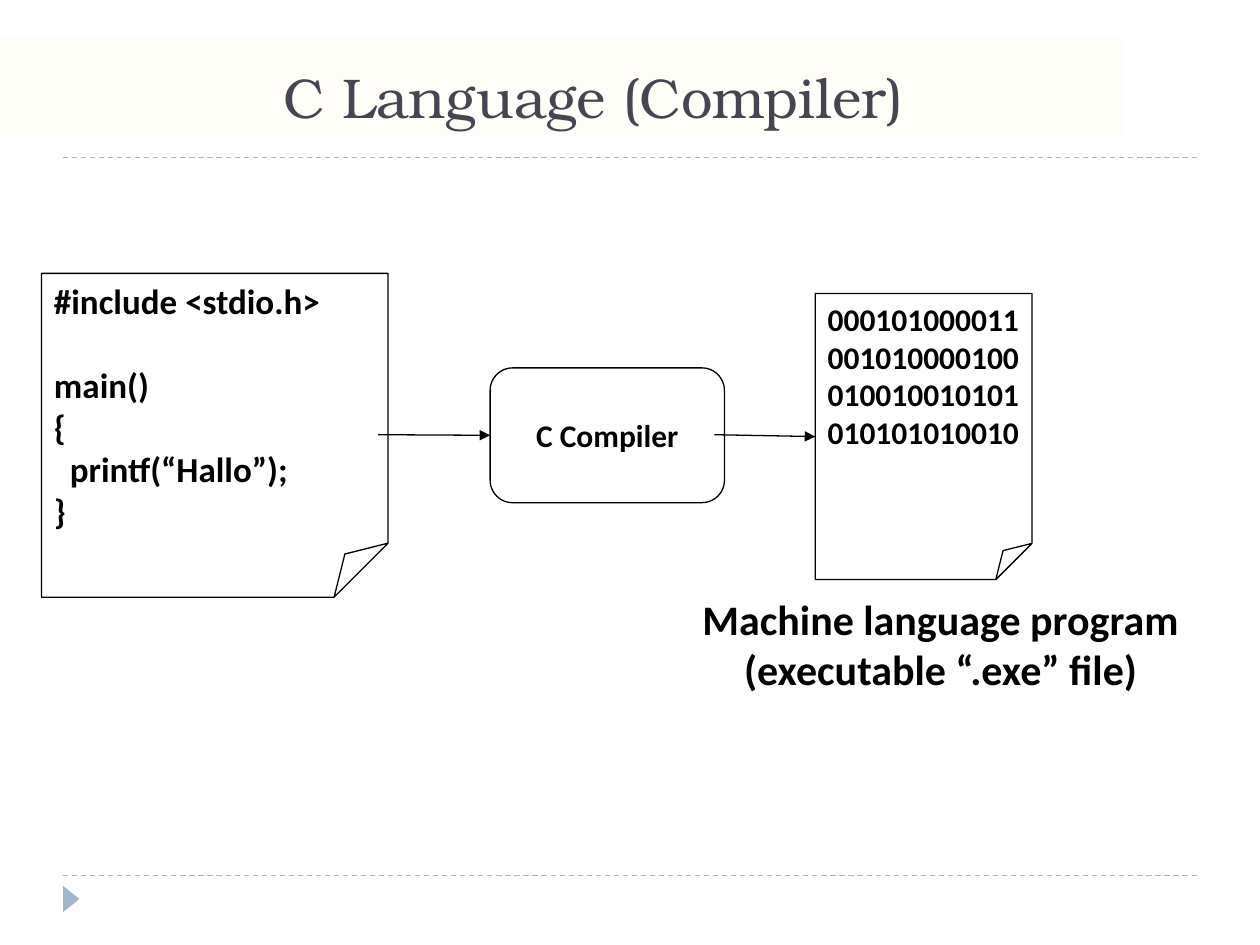
from dataclasses import dataclass

from lxml import etree
from pptx import Presentation
from pptx import util as u
from pptx.dml.color import RGBColor
from pptx.enum import dml, shapes, text
from pptx.oxml.ns import qn

COLUMNS, ROWS = 100, 75  # grid cells across a 10 by 7.5 inch slide
CELL = u.Inches(0.1)


@dataclass(frozen=True)
class Theme:
    ink: RGBColor = RGBColor(0x00, 0x00, 0x00)
    accent: RGBColor = RGBColor(0x9F, 0xB8, 0xCD)
    title: RGBColor = RGBColor(0x46, 0x46, 0x53)
    band: RGBColor = RGBColor(0xFE, 0xF8, 0xE4)
    band_alpha: int = 25000
    title_font: str = "TeX Gyre Bonum"
    body_font: str = "Calibri"
    title_size: int = 32
    caption_size: int = 24
    code_size: int = 20
    label_size: int = 18
    line_width: float = 0.75


@dataclass(frozen=True)
class Area:
    """A rectangle in grid columns and rows."""
    column: float
    row: float
    columns: float
    rows: float

    def lengths(self) -> list[int]:
        return [round(CELL * n) for n in (self.column, self.row, self.columns, self.rows)]


@dataclass(frozen=True)
class Block:
    kind: shapes.MSO_SHAPE
    area: Area
    lines: tuple[str, ...]
    size: int
    centred: bool = False


THEME = Theme()
FOLDED, ROUNDED = shapes.MSO_SHAPE.FOLDED_CORNER, shapes.MSO_SHAPE.ROUNDED_RECTANGLE

SOURCE = Block(FOLDED, Area(3.3, 21.7, 27.5, 25.7),
               ("#include <stdio.h>", "main()", "{", "  printf(“Hallo”);", "}"),
               THEME.code_size)
COMPILER = Block(ROUNDED, Area(38.9, 29.2, 18.6, 10.7), ("C Compiler",),
                 THEME.label_size, centred=True)
BINARY = Block(FOLDED, Area(64.7, 23.3, 17.2, 22.7),
               ("000101000011001010000100010010010101010101010010",), THEME.label_size)
CAPTION = ("Machine language program", "(executable “.exe” file)")


def write(frame, lines: tuple[str, ...], size: int, centred: bool = False,
          font: str = THEME.body_font, color: RGBColor = THEME.ink, bold: bool = True) -> None:
    frame.text = "\n".join(lines)
    for para in frame.paragraphs:
        para.alignment = text.PP_ALIGN.CENTER if centred else text.PP_ALIGN.LEFT
        for span in para.runs:
            span.font.name, span.font.size = font, u.Pt(size)
            span.font.color.rgb, span.font.bold = color, bold


def add_block(page, block: Block):
    box = page.shapes.add_shape(block.kind, *block.area.lengths())
    box.shadow.inherit = False
    box.fill.background()
    box.line.color.rgb, box.line.width = THEME.ink, u.Pt(THEME.line_width)
    frame = box.text_frame
    frame.word_wrap = not block.centred
    frame.vertical_anchor = text.MSO_ANCHOR.MIDDLE if block.centred else text.MSO_ANCHOR.TOP
    write(frame, block.lines, block.size, block.centred)
    return box


def add_line(page, start: tuple[float, float], end: tuple[float, float], color: RGBColor):
    points = [round(CELL * n) for n in (*start, *end)]
    line = page.shapes.add_connector(shapes.MSO_CONNECTOR.STRAIGHT, *points)
    line.line.color.rgb, line.line.width = color, u.Pt(THEME.line_width)
    etree.SubElement(line._element.spPr, qn("a:effectLst"))
    return line


def add_rule(page, row: float) -> None:
    margin = 5
    rule = add_line(page, (margin, row), (COLUMNS - margin, row), THEME.accent)
    rule.line.dash_style = dml.MSO_LINE.DASH


def add_arrow(page, start: tuple[float, float], target) -> None:
    arrow = add_line(page, start, start, THEME.ink)
    arrow.end_connect(target, 1)
    etree.SubElement(arrow.line._get_or_add_ln(), qn("a:tailEnd"), type="triangle")


def add_title(page, title: str) -> None:
    box = page.shapes.title
    box.left, box.top, box.width, box.height = Area(0, 3, 89.2, 7.8).lengths()
    box.fill.solid()
    box.fill.fore_color.rgb = THEME.band
    color = box._element.spPr.find(".//" + qn("a:srgbClr"))
    etree.SubElement(color, qn("a:alpha"), val=str(THEME.band_alpha))
    frame = box.text_frame
    frame.auto_size = text.MSO_AUTO_SIZE.NONE
    frame.vertical_anchor = text.MSO_ANCHOR.BOTTOM
    write(frame, (title,), THEME.title_size, True, THEME.title_font, THEME.title, False)


def main() -> None:
    deck = Presentation()
    deck.slide_width, deck.slide_height = CELL * COLUMNS, CELL * ROWS
    page = deck.slides.add_slide(deck.slide_layouts[5])

    # Frame of the slide: rules, corner marker and title
    for row in (69.5, 12.5):
        add_rule(page, row)
    marker = page.shapes.add_shape(shapes.MSO_SHAPE.ISOSCELES_TRIANGLE,
                                   *Area(4.6, 70.7, 2.1, 1.3).lengths())
    marker.rotation = 90
    marker.shadow.inherit = False
    marker.fill.solid()
    marker.fill.fore_color.rgb = THEME.accent
    marker.line.fill.background()
    add_title(page, "\tC Language (Compiler)")

    # Source code, compiler and machine code
    source, compiler, binary = (add_block(page, block) for block in (SOURCE, COMPILER, BINARY))
    # One line of air between the include and main()
    source.text_frame.paragraphs[1].space_before = u.Pt(THEME.code_size * 1.2)

    # Arrows start just inside the block they leave
    add_arrow(page, (30, 34.5), compiler)
    add_arrow(page, (56.7, 34.5), binary)

    # Caption under the machine code
    caption = page.shapes.add_textbox(*Area(54.4, 46.6, 40.5, 9.1).lengths())
    caption.text_frame.word_wrap = False
    caption.text_frame.auto_size = text.MSO_AUTO_SIZE.SHAPE_TO_FIT_TEXT
    write(caption.text_frame, CAPTION, THEME.caption_size, centred=True)

    deck.save("out.pptx")


if __name__ == "__main__":
    main()
